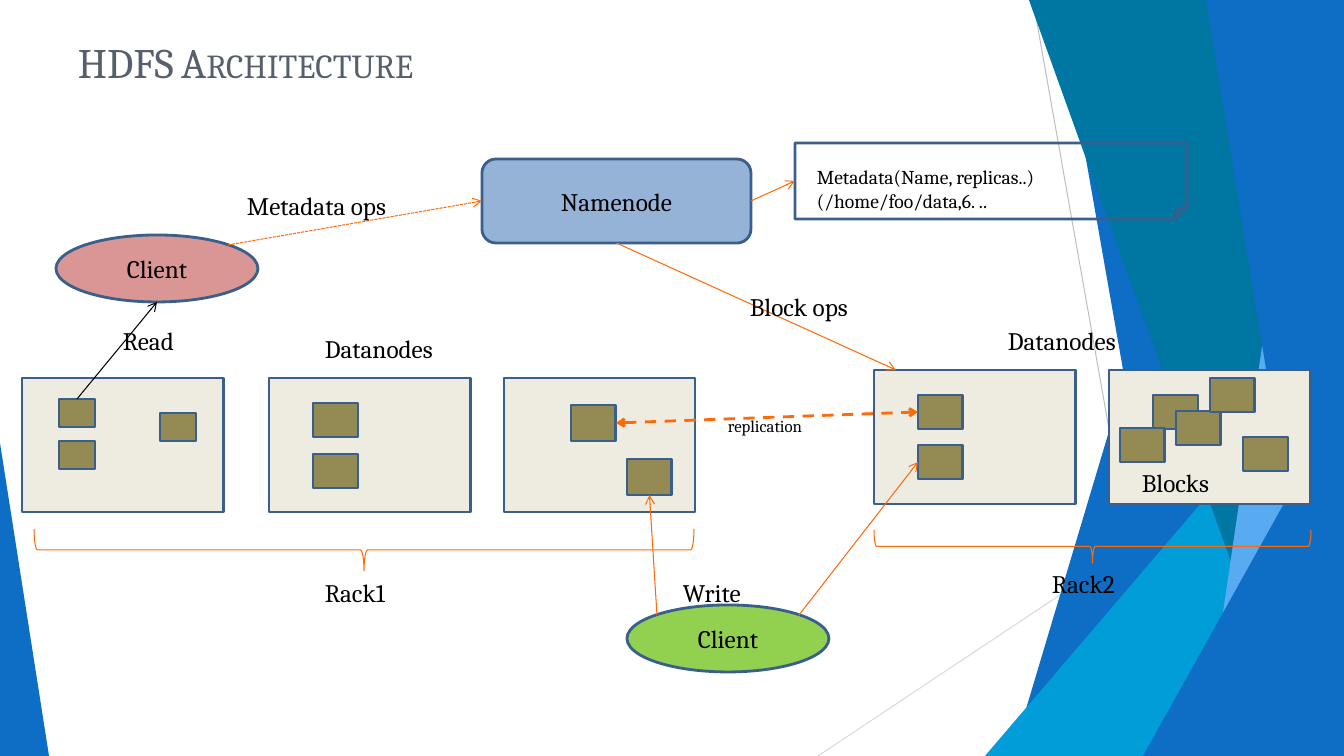
"""Build the HDFS Architecture slide."""
from lxml.etree import SubElement
from pptx import Presentation
from pptx.dml.color import RGBColor
from pptx.enum.dml import MSO_LINE
from pptx.enum.shapes import MSO_CONNECTOR, MSO_SHAPE
from pptx.enum.text import MSO_ANCHOR, PP_ALIGN
from pptx.oxml.ns import qn
from pptx.util import Pt

PX = 914400 / 100.8
WIDTH, HEIGHT = 1344, 756
FONT = "Cambria"
BLACK = RGBColor(0x00, 0x00, 0x00)
TITLE_GRAY = RGBColor(0x57, 0x5F, 0x6D)
BLUE = RGBColor(0x0E, 0x6E, 0xC5)
CYAN = RGBColor(0x00, 0x9D, 0xD9)
TEAL = RGBColor(0x00, 0x76, 0xA2)
SKY = RGBColor(0x58, 0xAA, 0xF1)
LIGHT_GRAY = RGBColor(0xD9, 0xD9, 0xD9)
MID_GRAY = RGBColor(0xBE, 0xBE, 0xBE)
OUTLINE = RGBColor(0x3A, 0x5F, 0x8C)
NAMENODE_BLUE = RGBColor(0x95, 0xB3, 0xD7)
CREAM = RGBColor(0xEE, 0xEC, 0xE1)
OLIVE = RGBColor(0x94, 0x8A, 0x54)
GREEN = RGBColor(0x92, 0xD0, 0x50)
ROSE = RGBColor(0xD9, 0x96, 0x94)
ORANGE = RGBColor(0xFF, 0x6A, 0x09)


def write(shape, text, size=18, color=BLACK, align=PP_ALIGN.LEFT, anchor=MSO_ANCHOR.TOP):
    frame = shape.text_frame
    frame.word_wrap = True
    frame.vertical_anchor = anchor
    frame.text = text
    for paragraph in frame.paragraphs:
        paragraph.alignment = align
        paragraph.font.name = FONT
        paragraph.font.size = Pt(size)
        paragraph.font.color.rgb = color


def add_box(preset, bounds, fill=None, line=OUTLINE, weight=2, text=None):
    shape = slide.shapes.add_shape(preset, *(round(value * PX) for value in bounds))
    shape.shadow.inherit = False
    if fill is None:
        shape.fill.background()
    else:
        shape.fill.solid()
        shape.fill.fore_color.rgb = fill
    shape.line.color.rgb = line
    shape.line.width = Pt(weight)
    if text:
        write(shape, text, align=PP_ALIGN.CENTER, anchor=MSO_ANCHOR.MIDDLE)
    return shape


presentation = Presentation()
presentation.slide_width = round(WIDTH * PX)
presentation.slide_height = round(HEIGHT * PX)
slide = presentation.slides.add_slide(presentation.slide_layouts[6])

background_lines = [
    ((1033, 0, 1167, HEIGHT), MID_GRAY),
    ((WIDTH, 406, 818, HEIGHT), LIGHT_GRAY),
]
for ends, color in background_lines:
    line = slide.shapes.add_connector(MSO_CONNECTOR.STRAIGHT, *(round(value * PX) for value in ends))
    line.line.color.rgb = color
    line.line.width = Pt(0.72)
    SubElement(line._element.spPr, qn("a:effectLst"))

facets = [
    (WIDTH, 1238, 0, 1012, BLUE),
    (WIDTH, 1058, 0, 1191, BLUE),
    (WIDTH, WIDTH, 336, 985, CYAN),
    (WIDTH, 1029, 0, 1301, TEAL),
    (WIDTH, 1313, 0, 1202, SKY),
    (WIDTH, 1206, 0, 1329, BLUE),
    (WIDTH, WIDTH, 396, 1143, BLUE),
    (0, 0, 443, 49, BLUE),
]
for edge, top_x, top_y, bottom_x, color in facets:
    builder = slide.shapes.build_freeform(top_x, top_y, scale=PX)
    builder.add_line_segments([(bottom_x, HEIGHT), (edge, HEIGHT), (edge, top_y)], close=True)
    facet = builder.convert_to_shape()
    facet.shadow.inherit = False
    facet.fill.solid()
    facet.fill.fore_color.rgb = color
    facet.line.fill.background()

namenode = add_box(MSO_SHAPE.ROUNDED_RECTANGLE, (482, 159, 269, 84), NAMENODE_BLUE, text="Namenode")
note = add_box(MSO_SHAPE.FOLDED_CORNER, (795, 143, 392, 76))
add_box(MSO_SHAPE.OVAL, (56, 235, 202, 67), ROSE, text="Client")
add_box(MSO_SHAPE.OVAL, (627, 605, 202, 67), GREEN, text="Client")

for left, top, width in [(22, 378, 202), (269, 378, 202), (504, 378, 191), (874, 370, 202), (1109, 370, 202)]:
    add_box(MSO_SHAPE.RECTANGLE, (left, top, width, 134), CREAM)

block_groups = [
    (36, 28, [(59, 399), (59, 441), (160, 413)]),
    (45, 34, [(313, 403), (313, 454)]),
    (45, 36, [(571, 405), (627, 459)]),
    (45, 34, [(918, 395), (918, 445)]),
    (45, 34, [(1153, 395), (1120, 428), (1176, 411), (1243, 437), (1210, 378)]),
]
blocks = {}
for width, height, corners in block_groups:
    for corner in corners:
        blocks[corner] = add_box(MSO_SHAPE.RECTANGLE, (*corner, width, height), OLIVE)

for bounds in [(343, 220, 42, 660), (1076, 328, 33, 437)]:
    brace = add_box(MSO_SHAPE.RIGHT_BRACE, bounds, line=ORANGE, weight=0.75)
    brace.rotation = 90

read_block = blocks[59, 399]
replica_source, replica_target = blocks[571, 405], blocks[918, 395]
write_block, remote_write_block = blocks[627, 459], blocks[918, 445]
arrows = [
    ((616, 423, 918, 412), (replica_source, 3), (replica_target, 1), ORANGE, 2, MSO_LINE.DASH),
    ((657, 615, 650, 495), None, (write_block, 2), ORANGE, 0.75, None),
    ((799, 615, 918, 462), None, (remote_write_block, 1), ORANGE, 0.75, None),
    ((77, 399, 157, 302), (read_block, 0), None, BLACK, 0.75, None),
    ((228, 245, 482, 201), None, (namenode, 1), ORANGE, 0.75, MSO_LINE.SQUARE_DOT),
    ((751, 201, 795, 181), (namenode, 3), (note, 1), ORANGE, 0.75, None),
    ((616, 243, 896, 370), (namenode, 2), None, ORANGE, 0.75, None),
]
for ends, begin, end, color, weight, dash in arrows:
    arrow = slide.shapes.add_connector(MSO_CONNECTOR.STRAIGHT, *(round(value * PX) for value in ends))
    if begin:
        arrow.begin_connect(*begin)
    if end:
        arrow.end_connect(*end)
    arrow.line.color.rgb = color
    arrow.line.width = Pt(weight)
    if dash:
        arrow.line.dash_style = dash
    outline = arrow.line._get_or_add_ln()
    if begin and begin[0] is replica_source:
        SubElement(outline, qn("a:headEnd"), type="arrow")
    SubElement(outline, qn("a:tailEnd"), type="arrow")
    SubElement(arrow._element.spPr, qn("a:effectLst"))

labels = [
    ("replication", (718, 411, 133, 30), 12),
    ("Rack1", (315, 572, 115, 40), 18),
    ("Rack2", (1042, 563, 119, 40), 18),
    ("Blocks", (1132, 462, 124, 40), 18),
    ("Datanodes", (315, 328, 185, 40), 18),
    ("Datanodes", (998, 320, 185, 40), 18),
    ("Write", (673, 572, 111, 40), 18),
    ("Read", (113, 320, 103, 40), 18),
    ("Metadata ops", (237, 185, 228, 40), 18),
    ("Metadata(Name, replicas..)\n(/home/foo/data,6. ..", (807, 160, 343, 56), 14),
    ("Block ops", (740, 286, 169, 40), 18),
]
for text, bounds, size in labels:
    label = slide.shapes.add_textbox(*(round(value * PX) for value in bounds))
    write(label, text, size)

title = slide.shapes.add_textbox(*(round(value * PX) for value in (68, 30, 1098, 62)))
write(title, "HDFS Architecture", 30, TITLE_GRAY, anchor=MSO_ANCHOR.BOTTOM)
title.text_frame.paragraphs[0].runs[0]._r.get_or_add_rPr().set("cap", "small")

presentation.save("out.pptx")
